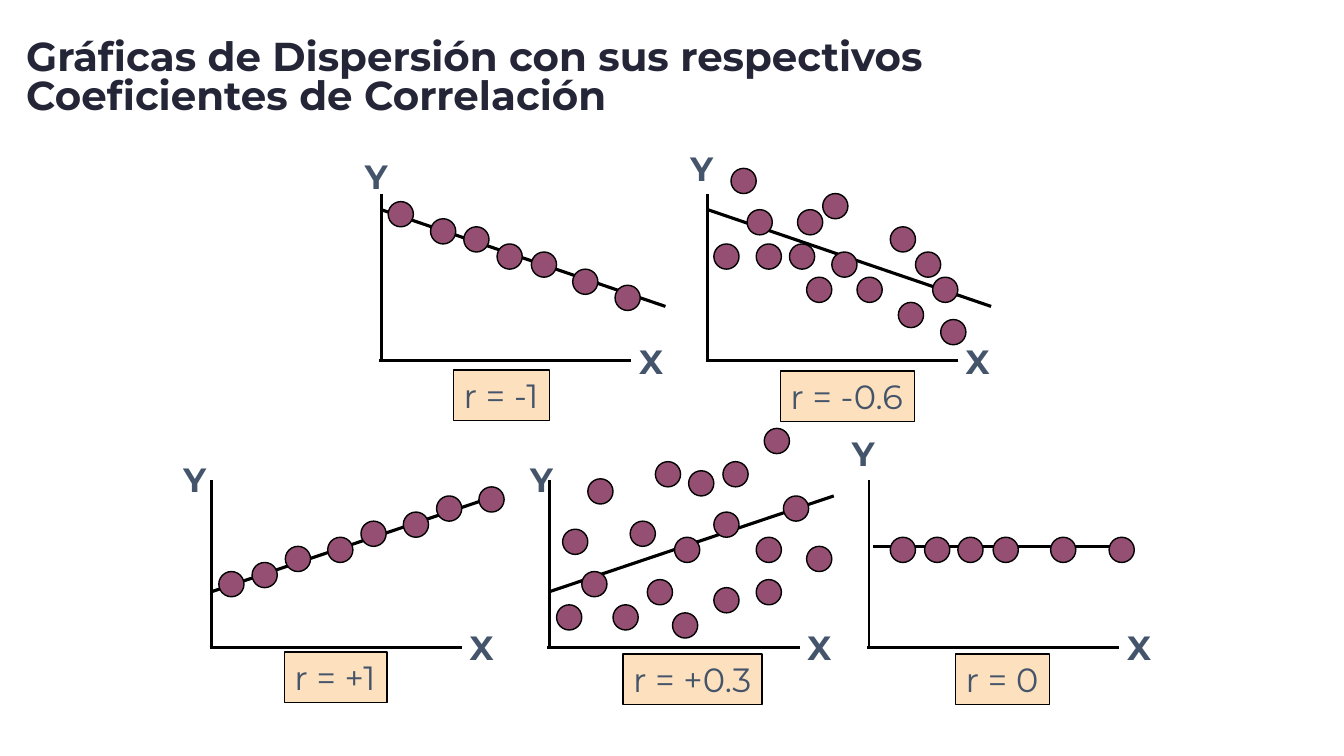
"""Build a slide of five scatter plots with their correlation coefficients."""
from pptx import Presentation
from pptx.dml.color import RGBColor
from pptx.enum import shapes, text
from pptx.oxml.ns import qn
from pptx.util import Inches, Pt

FONT = "Montserrat"
TITLE = RGBColor(0x24, 0x25, 0x37)
SLATE = RGBColor(0x44, 0x54, 0x6A)
PLUM = RGBColor(0x95, 0x4F, 0x72)
PEACH = RGBColor(0xFD, 0xE0, 0xBD)
BLACK = RGBColor(0, 0, 0)
DOT = 0.25
LABEL_HEIGHT = 0.5
AXIS_HEIGHT = 1.66
AXIS_WIDTH = 2.5

PLOTS = [
    dict(origin=(3.78, 3.58), y_label=(3.52, 1.5),
         trend=(3.78, 2.08, 6.6, 3.04),
         dots=[(3.85, 2), (4.27, 2.17), (4.6, 2.25), (4.93, 2.42),
               (5.27, 2.5), (5.68, 2.67), (6.1, 2.83)],
         r="r = -1", r_box=(4.5, 3.67, 0.95)),
    dict(origin=(7.02, 3.58), y_label=(6.75, 1.42),
         trend=(7.02, 2.08, 9.83, 3.04),
         dots=[(7.08, 2.42), (7.25, 1.67), (7.41, 2.08), (7.5, 2.42),
               (7.83, 2.42), (7.91, 2.08), (8, 2.75), (8.16, 1.92),
               (8.25, 2.5), (8.5, 2.75), (8.83, 2.25), (8.91, 3),
               (9.08, 2.5), (9.25, 2.75), (9.33, 3.17)],
         r="r = -0.6", r_box=(7.74, 3.68, 1.33)),
    dict(origin=(2.1, 6.42), y_label=(1.72, 4.5),
         trend=(2.1, 5.87, 4.92, 4.92),
         dots=[(2.17, 5.67), (2.5, 5.58), (2.83, 5.42), (3.25, 5.33),
               (3.58, 5.17), (4, 5.08), (4.33, 4.92), (4.75, 4.83)],
         r="r = +1", r_box=(2.82, 6.47, 1.02)),
    dict(origin=(5.45, 6.42), y_label=(5.16, 4.5),
         trend=(5.45, 5.87, 8.27, 4.92),
         dots=[(5.52, 6), (5.58, 5.25), (5.77, 5.67), (5.83, 4.75),
               (6.08, 6), (6.25, 5.17), (6.42, 5.75), (6.5, 4.58),
               (6.67, 6.08), (6.69, 5.33), (6.83, 4.67), (7.08, 5.08),
               (7.08, 5.83), (7.17, 4.58), (7.5, 5.33), (7.5, 5.75),
               (7.58, 4.25), (7.77, 4.92), (8, 5.42)],
         r="r = +0.3", r_box=(6.18, 6.49, 1.38)),
    dict(origin=(8.62, 6.42), y_label=(8.35, 4.25),
         trend=(8.66, 5.42, 11.16, 5.42), trend_width=2,
         dots=[(x, 5.33) for x in (8.83, 9.17, 9.5, 9.85, 10.42, 11)],
         r="r = 0", r_box=(9.48, 6.49, 0.93)),
]


def style_run(p, size, color, bold):
    r = p.runs[0]
    r.font.name = FONT
    r.font.size = Pt(size)
    r.font.bold = bold
    r.font.color.rgb = color


def add_title(s):
    sp = s.shapes.title
    sp.left, sp.top = Inches(0.16), Inches(0.16)
    sp.width, sp.height = Inches(9.21), Inches(1.25)
    tf = sp.text_frame
    tf.text = "Gráficas de Dispersión con sus respectivos Coeficientes de Correlación"
    tf.word_wrap = True
    tf.vertical_anchor = text.MSO_ANCHOR.MIDDLE
    p = tf.paragraphs[0]
    p.alignment = text.PP_ALIGN.LEFT
    p.line_spacing = 0.8
    style_run(p, 28.8, TITLE, True)


def add_line(s, x1, y1, x2, y2, width=2):
    line = s.shapes.add_connector(shapes.MSO_CONNECTOR.STRAIGHT, Inches(x1),
                                  Inches(y1), Inches(x2), Inches(y2))
    line.line.color.rgb = BLACK
    line.line.width = Pt(width)
    sp_pr = line._element.spPr
    sp_pr.append(sp_pr.makeelement(qn("a:effectLst"), {}))


def add_filled(s, kind, x, y, w, h, fill):
    sp = s.shapes.add_shape(kind, Inches(x), Inches(y), Inches(w), Inches(h))
    sp.shadow.inherit = False
    sp.fill.solid()
    sp.fill.fore_color.rgb = fill
    sp.line.color.rgb = BLACK
    sp.line.width = Pt(1)
    return sp


def set_label(sp, label, bold):
    tf = sp.text_frame
    tf.text = label
    tf.word_wrap = False
    tf.auto_size = text.MSO_AUTO_SIZE.SHAPE_TO_FIT_TEXT
    tf.vertical_anchor = text.MSO_ANCHOR.TOP
    tf.paragraphs[0].alignment = text.PP_ALIGN.LEFT
    style_run(tf.paragraphs[0], 24, SLATE, bold)


def add_axis_label(s, label, x, y):
    sp = s.shapes.add_textbox(Inches(x), Inches(y), Inches(0.43),
                              Inches(LABEL_HEIGHT))
    set_label(sp, label, True)


def add_plot(s, origin, y_label, trend, dots, r, r_box, trend_width=2.25):
    x, y = origin
    add_line(s, x, y - AXIS_HEIGHT, x, y)
    add_line(s, x - 0.02, y, x - 0.02 + AXIS_WIDTH, y)
    add_line(s, *trend, width=trend_width)
    for dot_x, dot_y in dots:
        add_filled(s, shapes.MSO_SHAPE.OVAL, dot_x, dot_y, DOT, DOT, PLUM)
    add_axis_label(s, "Y", *y_label)
    add_axis_label(s, "X", x + 2.46, y - 0.25)
    box_x, box_y, box_w = r_box
    box = add_filled(s, shapes.MSO_SHAPE.RECTANGLE, box_x, box_y, box_w,
                     LABEL_HEIGHT, PEACH)
    set_label(box, r, False)


def main():
    prs = Presentation()
    prs.slide_width, prs.slide_height = Inches(13.33), Inches(7.5)
    s = prs.slides.add_slide(prs.slide_layouts[5])
    add_title(s)
    for plot in PLOTS:
        add_plot(s, **plot)
    prs.save("out.pptx")


if __name__ == "__main__":
    main()
